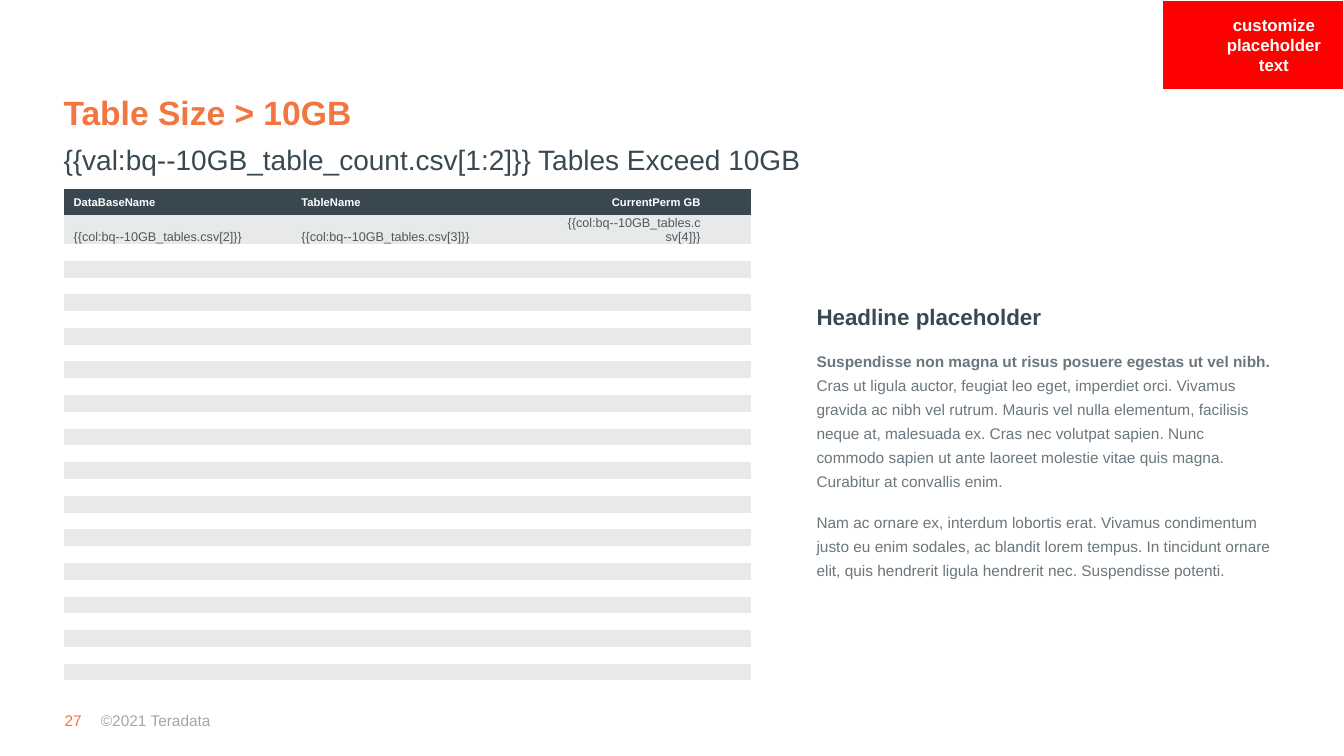
from lxml.etree import SubElement
from pptx import Presentation
from pptx.dml.color import RGBColor
from pptx.enum.shapes import MSO_SHAPE
from pptx.enum.text import MSO_ANCHOR, MSO_AUTO_SIZE, PP_ALIGN
from pptx.oxml.ns import qn
from pptx.util import Inches, Pt

ORANGE = RGBColor(0xF3, 0x75, 0x3F)
SLATE = RGBColor(0x38, 0x49, 0x51)
HEADER_FILL = RGBColor(0x39, 0x48, 0x50)
BAND_FILL = RGBColor(0xE8, 0xE9, 0xE9)
CELL_TEXT = RGBColor(0x50, 0x58, 0x5E)
BODY_TEXT = RGBColor(0x6B, 0x76, 0x7D)
FOOTER_TEXT = RGBColor(0xA6, 0xA6, 0xA6)
RED = RGBColor(0xFF, 0x00, 0x00)
WHITE = RGBColor(0xFF, 0xFF, 0xFF)

NO_GRID_STYLE = "{2D5ABB26-0587-4C30-8999-92F81FD0307C}"
BANDED_ROWS = 28
COLUMNS = [
    ("DataBaseName", "{{col:bq--10GB_tables.csv[2]}}", 2.26, 0.01, PP_ALIGN.LEFT),
    ("TableName", "{{col:bq--10GB_tables.csv[3]}}", 2.62, 0.01, PP_ALIGN.LEFT),
    ("CurrentPerm GB", "{{col:bq--10GB_tables.csv[4]}}", 1.94, 0.5, PP_ALIGN.RIGHT),
]
HEADLINE = "Headline placeholder"
LEAD = "Suspendisse non magna ut risus posuere egestas ut vel nibh. "
DETAIL = (
    "Cras ut ligula auctor, feugiat leo eget, imperdiet orci. Vivamus gravida ac nibh vel "
    "rutrum. Mauris vel nulla elementum, facilisis neque at, malesuada ex. Cras nec volutpat "
    "sapien. Nunc commodo sapien ut ante laoreet molestie vitae quis magna. Curabitur at "
    "convallis enim."
)
CLOSING = (
    "Nam ac ornare ex, interdum lobortis erat. Vivamus condimentum justo eu enim sodales, ac "
    "blandit lorem tempus. In tincidunt ornare elit, quis hendrerit ligula hendrerit nec. "
    "Suspendisse potenti."
)


def format_span(span, size, color, bold=False):
    """Give one run its font, size, colour and weight."""
    span.font.name = "Arial"
    span.font.size = Pt(size)
    span.font.bold = bold
    span.font.color.rgb = color


def set_frame(frame, inset_x=0, inset_y=0, anchor=MSO_ANCHOR.TOP, wrap=True):
    """Set the insets, anchor and wrapping of a text frame."""
    frame.margin_left = frame.margin_right = Inches(inset_x)
    frame.margin_top = frame.margin_bottom = Inches(inset_y)
    frame.vertical_anchor = anchor
    frame.word_wrap = wrap
    frame.auto_size = MSO_AUTO_SIZE.NONE


def add_text(shapes, left, top, width, height, text):
    """Add a text box and return its text frame."""
    frame = shapes.add_textbox(Inches(left), Inches(top), Inches(width), Inches(height)).text_frame
    frame.text = text
    return frame


def fill_placeholder(holder, left, top, width, height, text, size, color, bold, spacing, anchor):
    """Move a placeholder into its box and set one unbulleted line in it."""
    holder.left, holder.top = Inches(left), Inches(top)
    holder.width, holder.height = Inches(width), Inches(height)
    frame = holder.text_frame
    frame.text = text
    set_frame(frame, anchor=anchor)
    para = frame.paragraphs[0]
    properties = para._p.get_or_add_pPr()
    properties.set("marL", "0")
    properties.set("indent", "0")
    SubElement(properties, qn("a:buNone"))
    para.alignment = PP_ALIGN.LEFT
    para.line_spacing = spacing
    para.space_before = Pt(0)
    format_span(para.runs[0], size, color, bold)


def add_headings(page, left, top, width):
    """Place the title and the subtitle below it."""
    fill_placeholder(page.shapes.title, left, top, width, 0.89, "Table Size > 10GB",
                     24, ORANGE, True, 0.9, MSO_ANCHOR.BOTTOM)
    fill_placeholder(page.placeholders[1], left, top + 0.92, width, 0.52,
                     "{{val:bq--10GB_table_count.csv[1:2]}} Tables Exceed 10GB",
                     20, SLATE, False, 1.2, MSO_ANCHOR.TOP)


def fill_cell(cell, text, fill, size, color, bold, anchor, right_inset, alignment):
    """Fill one table cell and keep an empty one as low as its font."""
    cell.fill.solid()
    cell.fill.fore_color.rgb = fill
    cell.margin_left, cell.margin_right = Inches(0.1), Inches(right_inset)
    cell.margin_top, cell.margin_bottom = Inches(0.01), Inches(0)
    cell.vertical_anchor = anchor
    para = cell.text_frame.paragraphs[0]
    para.alignment = alignment
    if text:
        para.text = text
        format_span(para.runs[0], size, color, bold)
    else:
        SubElement(para._p, qn("a:endParaRPr")).set("sz", str(size * 100))


def add_size_table(page, left, top, width, height):
    """Place the banded table of large tables."""
    table = page.shapes.add_table(BANDED_ROWS + 1, len(COLUMNS), Inches(left), Inches(top),
                                  Inches(width), Inches(height)).table
    table._tbl.tblPr.find(qn("a:tableStyleId")).text = NO_GRID_STYLE
    table.horz_banding = False
    for row in table.rows:
        row.height = Inches(1) // 6
    table.rows[0].height = Inches(0.25)
    for index, (heading, value, column_width, inset, alignment) in enumerate(COLUMNS):
        table.columns[index].width = Inches(column_width)
        fill_cell(table.cell(0, index), heading, HEADER_FILL, 8, WHITE, True,
                  MSO_ANCHOR.MIDDLE, inset, alignment)
        for number in range(1, BANDED_ROWS + 1):
            fill_cell(table.cell(number, index), value if number == 1 else "",
                      BAND_FILL if number % 2 else WHITE, 9, CELL_TEXT, False,
                      MSO_ANCHOR.BOTTOM, inset, alignment)


def add_commentary(page, left, top, width, height):
    """Place the headline and its two paragraphs."""
    frame = add_text(page.shapes, left, top, width, height, HEADLINE)
    set_frame(frame, 0.1, 0.05)
    format_span(frame.paragraphs[0].runs[0], 16, SLATE, True)
    for parts in ([(LEAD, True), (DETAIL, False)], [(CLOSING, False)]):
        para = frame.add_paragraph()
        para.space_before = Pt(12)
        for text, bold in parts:
            span = para.add_run()
            span.text = text
            format_span(span, 11, BODY_TEXT, bold)
    for para in frame.paragraphs:
        para.line_spacing = 1.3


def add_badge(page, left, top, width, height):
    """Place the red reminder in the corner as one group."""
    group = page.shapes.add_group_shape()
    panel = group.shapes.add_shape(MSO_SHAPE.RECTANGLE, Inches(left), Inches(top),
                                   Inches(width), Inches(height))
    panel.shadow.inherit = False
    panel.fill.solid()
    panel.fill.fore_color.rgb = RED
    panel.line.color.rgb = WHITE
    panel.line.width = Pt(0.75)
    frame = add_text(group.shapes, left + 0.48, top + 0.09, 1.25, 0.71,
                     "customize\nplaceholder\ntext")
    set_frame(frame, 0.1, 0.05, MSO_ANCHOR.MIDDLE)
    for para in frame.paragraphs:
        para.alignment = PP_ALIGN.CENTER
        format_span(para.runs[0], 12, WHITE, True)


def add_footer(page, left, top):
    """Place the page number and the copyright line."""
    number = add_text(page.shapes, left, top + 0.05, 0.19, 0.19, "27")
    set_frame(number, wrap=False)
    format_span(number.paragraphs[0].runs[0], 11, ORANGE)
    notice = add_text(page.shapes, left + 0.36, top, 1.91, 0.29, "©2021 Teradata")
    set_frame(notice, anchor=MSO_ANCHOR.MIDDLE)
    format_span(notice.paragraphs[0].runs[0], 11, FOOTER_TEXT)


def main():
    """Build the slide and save the deck."""
    deck = Presentation()
    deck.slide_width, deck.slide_height = Inches(13.33), Inches(7.5)
    page = deck.slides.add_slide(deck.slide_layouts[1])
    add_footer(page, 0.64, 7)
    add_size_table(page, 0.63, 1.88, 6.82, 5.06)
    add_headings(page, 0.63, 0.43, 12.07)
    add_commentary(page, 8, 2.88, 4.71, 2.93)
    add_badge(page, 11.53, 0, 1.8, 0.89)
    deck.save("out.pptx")


if __name__ == "__main__":
    main()
